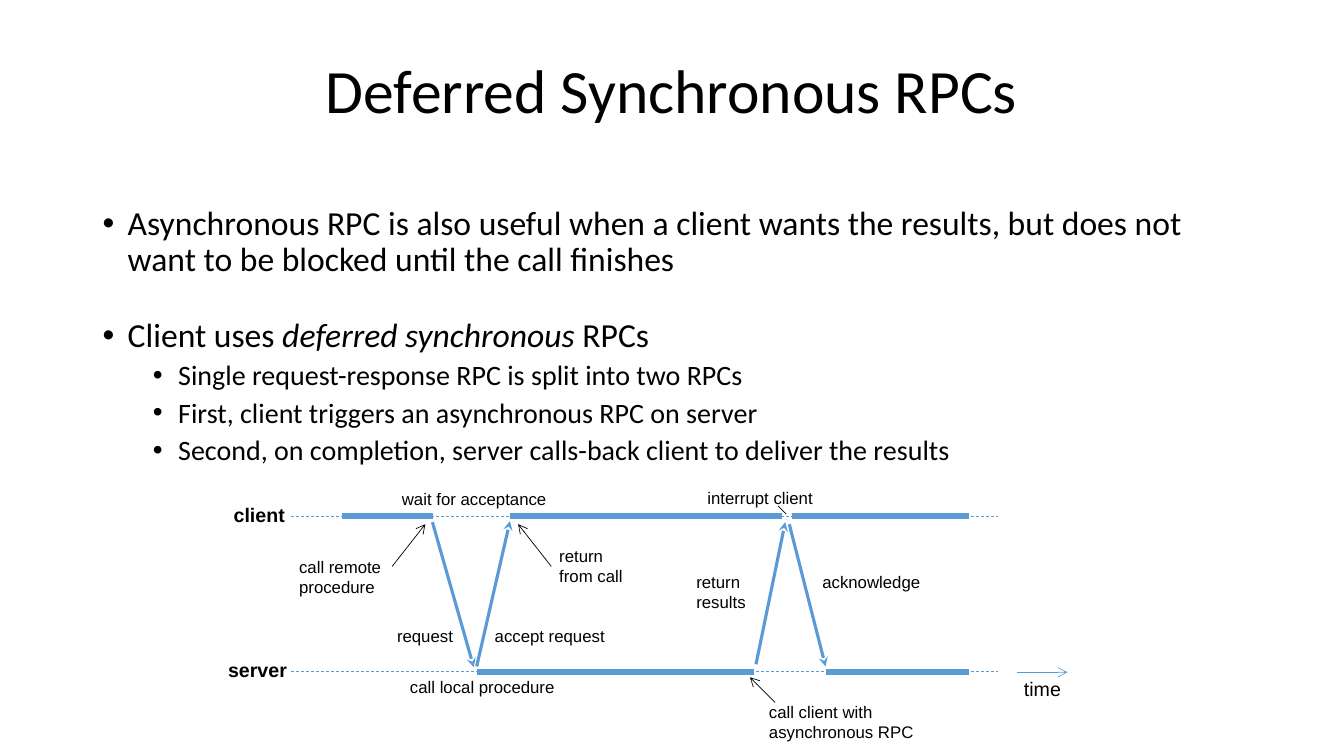
from lxml.etree import SubElement
from pptx import Presentation
from pptx.dml.color import RGBColor
from pptx.enum.dml import MSO_LINE
from pptx.enum.shapes import MSO_CONNECTOR
from pptx.enum.text import MSO_ANCHOR, PP_ALIGN
from pptx.oxml.ns import qn
from pptx.util import Pt

BLUE, BLACK = "5B9BD5", "000000"
CLIENT_Y, SERVER_Y = 368.6, 479.8


def add_text(box, paragraphs, paragraph_format, font_format, wrap=True):
    """Add a text box; each paragraph is a list of (text, italic) runs."""
    shape = slide.shapes.add_textbox(*[Pt(value) for value in box])
    frame = shape.text_frame
    frame.word_wrap = wrap
    for index, runs in enumerate(paragraphs):
        paragraph = frame.add_paragraph() if index else frame.paragraphs[0]
        for name, value in paragraph_format.items():
            setattr(paragraph, name, value)
        for text, italic in runs:
            run = paragraph.add_run()
            run.text = text
            run.font.color.rgb = RGBColor.from_string(BLACK)
            for name, value in {**font_format, "italic": italic}.items():
                setattr(run.font, name, value)
    return frame


def add_line(points, color, width, head=None, dash=None):
    connector = slide.shapes.add_connector(
        MSO_CONNECTOR.STRAIGHT, *[Pt(value) for value in points])
    connector.line.color.rgb = RGBColor.from_string(color)
    for name, value in {"width": Pt(width), "dash_style": dash}.items():
        setattr(connector.line, name, value)
    properties = connector._element.spPr
    if head:
        SubElement(properties.find(qn("a:ln")), qn("a:tailEnd"), type=head)
    SubElement(properties, qn("a:effectLst"))


presentation = Presentation()
presentation.slide_width = Pt(960)
presentation.slide_height = Pt(540)
slide = presentation.slides.add_slide(presentation.slide_layouts[6])

# Title
title = add_text((156, 25.2, 648, 82.8), [[("Deferred Synchronous RPCs", False)]],
                 {"alignment": PP_ALIGN.CENTER, "line_spacing": 0.9},
                 {"name": "Calibri", "size": Pt(44)})
title.vertical_anchor = MSO_ANCHOR.MIDDLE

# Bulleted body: level, space before, runs
bullets = [
    (0, 10, [("Asynchronous RPC is also useful when a client wants the results, "
              "but does not want to be blocked until the call finishes", False)]),
    (0, 28, [("Client uses ", False), ("deferred synchronous ", True), ("RPCs", False)]),
    (1, 5, [("Single request-response RPC is split into two RPCs", False)]),
    (1, 5, [("First, client triggers an asynchronous RPC on server", False)]),
    (1, 5, [("Second, on completion, server calls-back client to deliver the results", False)]),
]
body = add_text((66.2, 144, 828, 356.4), [runs for _, _, runs in bullets],
                {"line_spacing": 0.9}, {"name": "Calibri"})
for paragraph, (level, space, _) in zip(body.paragraphs, bullets):
    paragraph.level = level
    paragraph.space_before = Pt(space)
    for run in paragraph.runs:
        run.font.size = Pt(20 if level else 24)
    properties = paragraph._p.get_or_add_pPr()
    properties.set("marL", str(Pt(18 + 36 * level)))
    properties.set("indent", str(Pt(-18)))
    SubElement(properties, qn("a:buFont"), typeface="Arial")
    SubElement(properties, qn("a:buChar"), char="•")

# Dashed timelines
for y in (CLIENT_Y, SERVER_Y):
    add_line((208, y, 712.8, y), BLUE, 0.5, dash=MSO_LINE.DASH)

# Bars where client or server is busy
for start, end, y in [
    (244, 309.6, CLIENT_Y), (364.3, 558.7, CLIENT_Y), (566, 692, CLIENT_Y),
    (340.5, 538.6, SERVER_Y), (589.7, 692, SERVER_Y),
]:
    add_line((start, y, end, y), BLUE, 4.5)

# Messages between client and server
for points in [
    (308.9, 373, 338.4, 476.6), (340.5, 476, 364.3, 372.2),
    (540, 474.5, 560.9, 373), (563.8, 374.4, 589.7, 476),
]:
    add_line(points, BLUE, 2.25, head="stealth")

# Pointers from labels to events, and the time arrow
for points in [
    (280.1, 404.6, 303.8, 374.4), (393.8, 404.6, 370.1, 374.4),
    (553.7, 501.8, 535.7, 483.8),
]:
    add_line(points, BLACK, 0.5, head="arrow")
add_line((555.8, 361.4, 561.6, 367.2), BLACK, 0.5)
add_line((726.5, 480.2, 762.5, 480.2), BLUE, 0.5, head="arrow")

# Event labels: text, left, top, width, height
for text, *box in [
    ("call remote procedure", 206.6, 394.2, 84.2, 36),
    ("return from call", 392.4, 386.2, 59.8, 36),
    ("wait for acceptance", 280, 345.6, 156.2, 21.6),
    ("call local procedure", 285.8, 479.5, 144, 21.6),
    ("request", 276.5, 443.5, 77.8, 21.6),
    ("accept request", 346.3, 443.5, 131.8, 21.6),
    ("interrupt client", 498.2, 344.9, 126, 21.6),
    ("return results", 490.3, 404.6, 60, 36),
    ("acknowledge", 580.3, 404.6, 108, 21.6),
    ("call client with asynchronous RPC", 542.2, 497.5, 144, 36),
]:
    add_text(box, [[(text, False)]], {}, {"name": "Arial", "size": Pt(12)})

# Axis labels
for text, left, top, width, bold in [
    ("client", 159.8, 355.7, 51.1, True),
    ("server", 155.8, 466.6, 56.9, True),
    ("time", 724.3, 480.2, 41, False),
]:
    add_text((left, top, width, 24.5), [[(text, False)]], {},
             {"name": "Arial", "size": Pt(14), "bold": bold}, wrap=False)

presentation.save("out.pptx")
